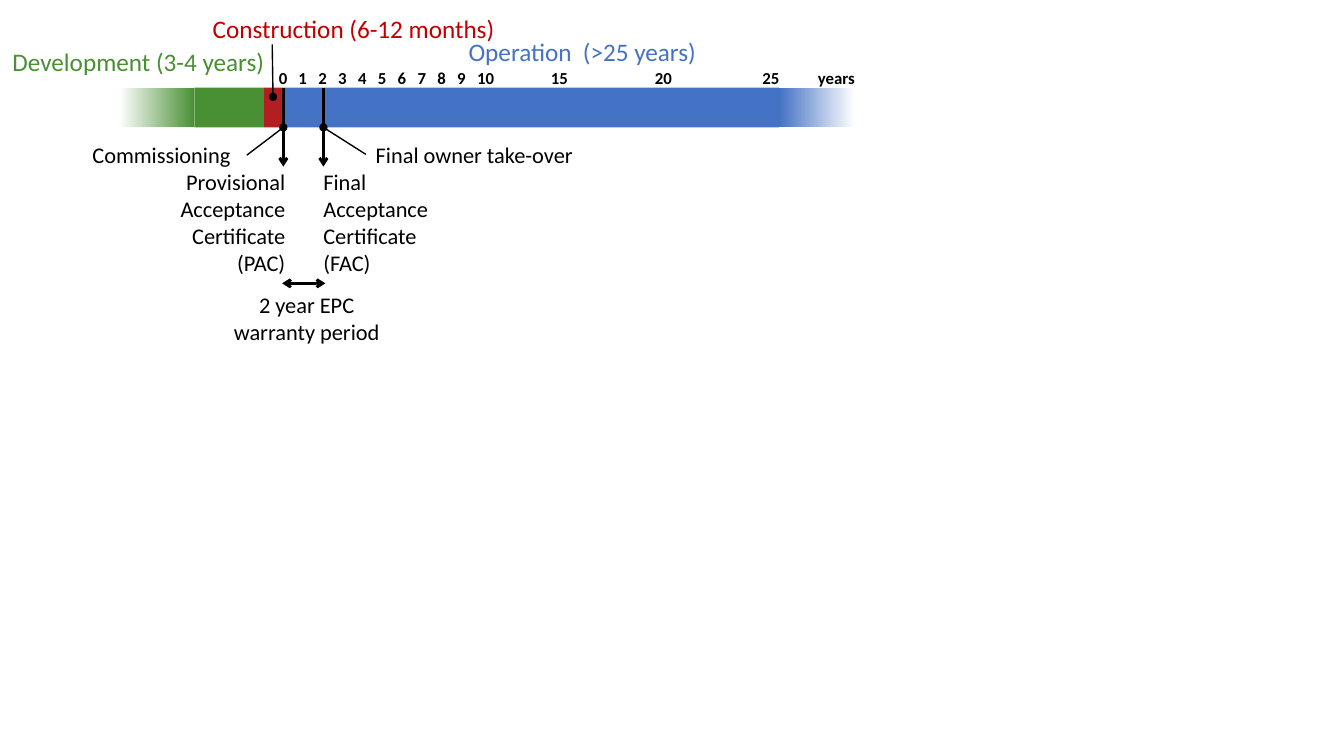
import dataclasses
import pptx
import pptx.util
import pptx.dml.color
import pptx.enum.shapes
import pptx.enum.text
import pptx.oxml.ns
from lxml import etree

Cm = pptx.util.Cm
Pt = pptx.util.Pt
Align = pptx.enum.text.PP_ALIGN


@dataclasses.dataclass(frozen=True)
class Theme:
    font: str = "Calibri"
    black: str = "000000"
    white: str = "FFFFFF"
    green: str = "498F34"
    red: str = "B31F20"
    crimson: str = "C00000"
    blue: str = "4472C4"
    phase: int = 18
    note: int = 16
    scale: int = 12
    thin: float = 1
    thick: float = 2


THEME = Theme()
TOP, HIGH = 2.21, 1.0
BASE = TOP + HIGH
START, TAKE = 7.14, 8.15


def rgb(code):
    return pptx.dml.color.RGBColor.from_string(code)


def add_node(parent, tag, **attrs):
    return etree.SubElement(parent, pptx.oxml.ns.qn(tag), **attrs)


def add_bar(shapes, left, right, color, fade=False, turn=0):
    kind = pptx.enum.shapes.MSO_SHAPE.RECTANGLE
    bar = shapes.add_shape(kind, Cm(left), Cm(TOP), Cm(right - left), Cm(HIGH))
    bar.shadow.inherit = False
    bar.line.fill.background()
    bar.rotation = turn
    if fade:
        bar.fill.gradient()
        bar.fill.gradient_angle = 0
        for stop, code in zip(bar.fill.gradient_stops, (color, THEME.white)):
            stop.color.rgb = rgb(code)
    else:
        bar.fill.solid()
        bar.fill.fore_color.rgb = rgb(color)


def add_text(shapes, place, lines, size, color=THEME.black, align=Align.LEFT,
             bold=False, tabs=()):
    box = shapes.add_textbox(*map(Cm, place))
    frame = box.text_frame
    frame.word_wrap = True
    frame.auto_size = pptx.enum.text.MSO_AUTO_SIZE.SHAPE_TO_FIT_TEXT
    frame.text = "\n".join(lines)
    for para in frame.paragraphs:
        para.alignment = align
        if tabs:
            stops = add_node(para._p.get_or_add_pPr(), "a:tabLst")
            for pos in tabs:
                add_node(stops, "a:tab", pos=str(Cm(pos)), algn="ctr")
        para.font.name = THEME.font
        para.font.size = Pt(size)
        para.font.bold = bold
        para.font.color.rgb = rgb(color)


def add_line(shapes, start, end, width, head=None, tail=None):
    kind = pptx.enum.shapes.MSO_CONNECTOR.STRAIGHT
    link = shapes.add_connector(kind, *map(Cm, (*start, *end)))
    link.line.color.rgb = rgb(THEME.black)
    link.line.width = Pt(width)
    line = link.line._get_or_add_ln()
    for tag, mark in (("a:headEnd", head), ("a:tailEnd", tail)):
        if mark:
            add_node(line, tag, type=mark)
    add_node(link._element.spPr, "a:effectLst")


def add_bars(shapes):
    add_bar(shapes, START, 19.63, THEME.blue)
    add_bar(shapes, 6.65, START, THEME.red)
    add_bar(shapes, 4.9, 6.65, THEME.green)
    add_bar(shapes, 19.63, 21.54, THEME.blue, fade=True)
    add_bar(shapes, 3.0, 4.9, THEME.green, fade=True, turn=180)


def add_scale(shapes):
    marks = [*range(10), 10, 15, 20, 25, "years"]
    tabs = [0.1 + 0.5 * year for year in range(1, 10)]
    tabs += [5.21, 7.07, 9.69, 12.4, 14.05]
    add_text(shapes, (6.78, 1.57, 15.82, 0.77), ["\t".join(map(str, marks))],
             THEME.scale, bold=True, tabs=tabs)


def add_labels(shapes):
    phases = [
        ((0, 1.04, 6.91, 1.02), "Development (3-4 years)", THEME.green, Align.RIGHT),
        ((5.11, 0.2, 8.28, 1.02), "Construction (6-12 months)", THEME.crimson, Align.LEFT),
        ((11.56, 0.8, 7.34, 1.02), "Operation  (>25 years)", THEME.blue, Align.LEFT),
    ]
    for place, words, color, align in phases:
        add_text(shapes, place, [words], THEME.phase, color, align)
    notes = [
        ((2.08, 3.43, 4.72, 0.94), ["Commissioning"], Align.LEFT),
        ((3.86, 4.11, 3.58, 3.0),
         ["Provisional Acceptance", "Certificate (PAC)"], Align.RIGHT),
        ((9.22, 3.43, 5.72, 0.94), ["Final owner take-over"], Align.LEFT),
        ((7.9, 4.11, 3.84, 3.0),
         ["Final Acceptance", "Certificate (FAC)"], Align.LEFT),
        ((5.61, 7.21, 4.24, 1.63), ["2 year EPC warranty period"], Align.CENTER),
    ]
    for place, lines, align in notes:
        add_text(shapes, place, lines, THEME.note, align=align)


def add_lines(shapes):
    for left in (START, TAKE):
        add_line(shapes, (left, TOP), (left, 4.2), THEME.thick, tail="arrow")
    add_line(shapes, (7.11, 7.14), (8.2, 7.14), THEME.thick, "arrow", "arrow")
    leads = [
        ((6.88, 2.44), (6.86, 1.12)),
        ((START, BASE), (6.22, 3.91)),
        ((TAKE, BASE), (9.22, 3.89)),
    ]
    for start, end in leads:
        add_line(shapes, start, end, THEME.thin, head="oval")


def main():
    deck = pptx.Presentation()
    deck.slide_width, deck.slide_height = Cm(33.87), Cm(19.05)
    slide = deck.slides.add_slide(deck.slide_layouts[6])
    shapes = slide.shapes.add_group_shape().shapes
    add_bars(shapes)
    add_labels(shapes)
    add_scale(shapes)
    add_lines(shapes)
    deck.save("out.pptx")


if __name__ == "__main__":
    main()
